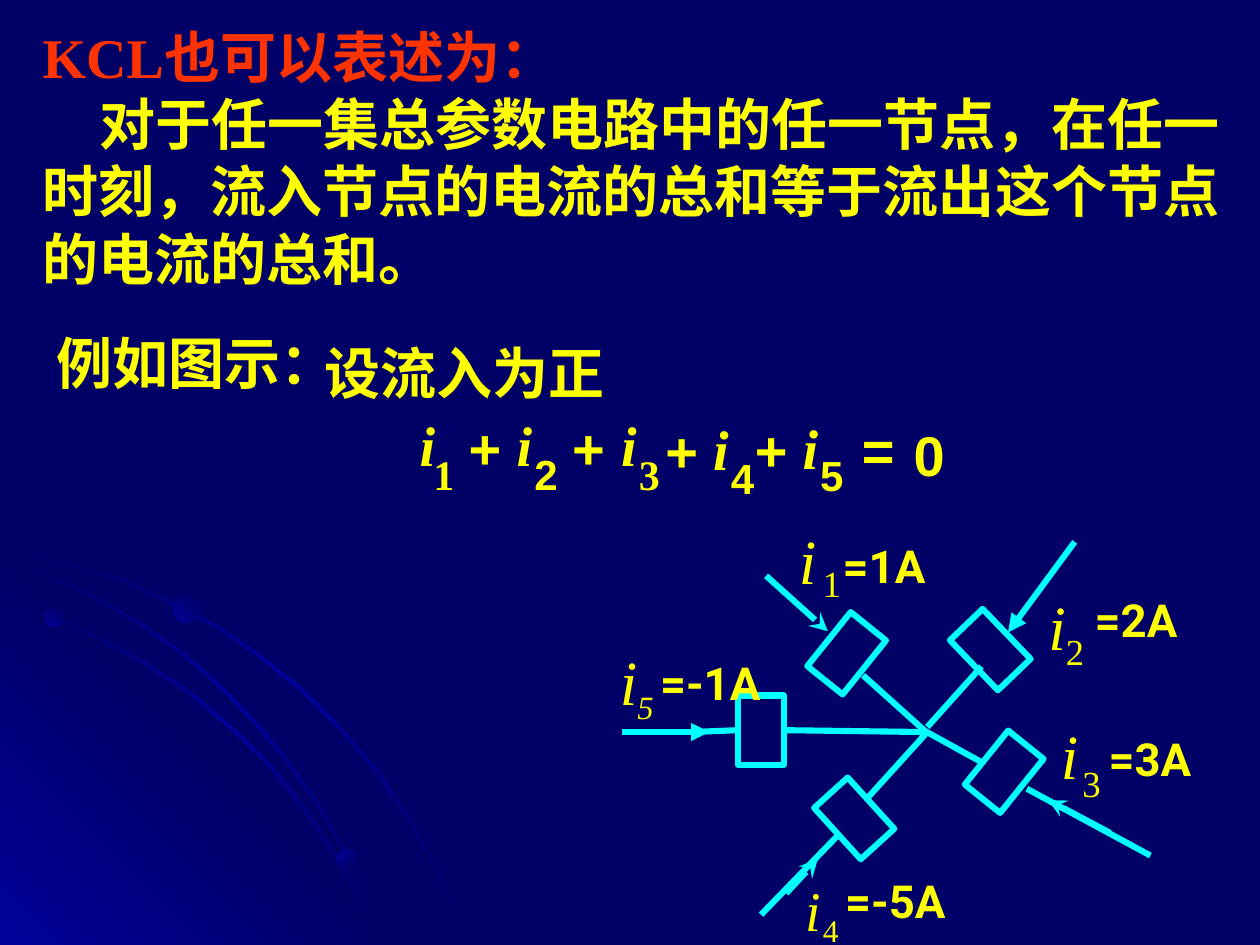
from lxml import etree
from pptx import Presentation, util as u
from pptx.dml.color import RGBColor
from pptx.enum import shapes, text
from pptx.oxml import ns

COLS, ROWS = 100, 75
NAVY, BLUE, CYAN = "000066", "010199", "00FFFF"
YELLOW, RED = "FFFF00", "FF3300"
ROMAN, SANS, LABEL, CJK = "Times New Roman", "Arial", "Roboto", "Noto Sans CJK SC"

prs = Presentation()
prs.slide_width, prs.slide_height = u.Inches(10), u.Inches(7.5)
CELL = prs.slide_width / COLS


def cells(*values):
    return [u.Emu(round(v * CELL)) for v in values]


def rgb(value):
    return RGBColor.from_string(value)


def sub(parent, tag, **attrs):
    return etree.SubElement(parent, ns.qn(tag), attrs)


def add_run(p, words, size, font, color=YELLOW, bold=True, italic=False, base=None):
    r = p.add_run()
    r.text = words
    f = r.font
    f.size, f.name, f.bold, f.italic = u.Pt(size), font, bold, italic
    f.color.rgb = rgb(color)
    rpr = r.font._element
    sub(rpr, "a:ea", typeface=CJK)
    if base:
        rpr.set("baseline", str(base * 1000))


def add_box(s, x, y, w, h, runs, inset=0):
    """Place a one-paragraph text box; each run is the arguments of add_run."""
    sp = s.shapes.add_textbox(*cells(x, y, w, h))
    tf = sp.text_frame
    tf.word_wrap = True
    tf.auto_size = text.MSO_AUTO_SIZE.NONE
    tf.margin_left = tf.margin_right = cells(inset)[0]
    tf.margin_top = tf.margin_bottom = cells(inset / 2)[0]
    for run in runs:
        add_run(tf.paragraphs[0], *run)
    return tf


def gradient(sp, colors, angle):
    sp.shadow.inherit = False
    sp.line.fill.background()
    sp.fill.gradient()
    sp.fill.gradient_angle = 360 - angle
    stops = sp._element.spPr.find(ns.qn("a:gradFill")).find(ns.qn("a:gsLst"))
    for stop in list(stops):
        stops.remove(stop)
    for i, color in enumerate(colors):
        gs = sub(stops, "a:gs", pos=str(round(100000 * i / (len(colors) - 1))))
        sub(gs, "a:srgbClr", val=color)


def add_outline(s, points, colors, angle):
    fb = s.shapes.build_freeform(*cells(*points[0]), scale=1.0)
    fb.add_line_segments([cells(*pt) for pt in points[1:]], close=True)
    gradient(fb.convert_to_shape(), colors, angle)


def orbits(s, x, y):
    """Corner glow, three thin arcs and their planets, in the lower left."""
    arcs = [
        [(0, .8), (2.8, 1.4), (5.7, 2), (9.8, 3.2), (13.6, 5), (17.4, 7), (20.9, 9.4),
         (24.2, 12.1), (27.2, 15.1), (30, 18.4), (32.5, 22.1), (33.9, 24.6),
         (35.2, 27.1), (36.2, 29.6), (37.2, 32.2)],
        [(0, 4.8), (4.1, 6.1), (7.9, 7.8), (11.7, 9.9), (15.2, 12.2), (18.4, 14.9),
         (21.5, 17.9), (24.2, 21.3), (26.6, 24.9), (28.6, 28.5), (29.6, 30.3), (30.3, 32.2)],
        [(0, 1.5), (3.9, 2.8), (7.6, 4.6), (11.1, 6.6), (14.4, 8.9), (17.5, 11.6),
         (20.4, 14.6), (22.9, 17.6), (25.4, 21.2), (26.9, 23.8), (28.2, 26.6),
         (29.4, 29.3), (30.3, 32.2)],
    ]

    def arc(points):
        outer = [(x + a, y + b) for a, b in points]
        inner = [(max(a - .2, 0), min(b + .2, ROWS)) for a, b in reversed(outer)]
        add_outline(s, outer + inner, (NAVY, BLUE, NAVY), 45)

    arc(arcs[0])
    add_outline(s, [(x + 32.2, ROWS), (x, ROWS), (x, ROWS - 32.2)], (BLUE, NAVY, BLUE), 315)
    for points in arcs[1:]:
        arc(points)
    for dx, dy, d, angle in ((3.6, 5.6, 1.5, 315), (26.7, 24.7, 1.6, 45), (13.7, 4.6, 2.1, 315)):
        sp = s.shapes.add_shape(shapes.MSO_SHAPE.OVAL, *cells(x + dx, y + dy, d, d))
        gradient(sp, (BLUE, NAVY), angle)


def statement(s, x, y, w, h):
    tf = add_box(s, x, y, w, h, [("KCL", 32, ROMAN, RED), ("也可以表述为：", 32, CJK, RED)], 1)
    p = tf.add_paragraph()
    p._p.get_or_add_pPr().set("indent", str(cells(4.5)[0]))
    add_run(p, "对于任一集总参数电路中的任一节点，在任一时刻，"
               "流入节点的电流的总和等于流出这个节点的电流的总和。", 32, CJK)


def example(s, x, y):
    add_box(s, x, y, 27.6, 6.4, [("例如图示：", 32, LABEL)], 1)
    add_box(s, x + 21.3, y + .8, 29.1, 6.4, [("设流入为正", 32, LABEL)], 1)


def equation(s, x, y):
    for dx, dy in ((0, 0), (7.7, 0), (16, 0), (23.3, .3), (30.4, .2)):
        add_box(s, x + dx, y + dy, 1.8, 5.3, [("i", 32, ROMAN, YELLOW, True, True)])
    for dx, dy, digit, font in ((1.1, 3, "1", ROMAN), (9.1, 3, "2", SANS), (17.4, 3, "3", ROMAN),
                                (24.7, 3.3, "4", SANS), (31.8, 3.1, "5", SANS)):
        add_box(s, x + dx, y + dy, 1.9, 4, [(digit, 24, font)])
    for dx, dy, sign in ((3.9, .2, "+"), (12.1, .2, "+"), (19.5, .5, "+"), (26.6, .4, "+"),
                         (35.1, .4, "="), (39.2, .8, "0")):
        add_box(s, x + dx, y + dy, 3.5, 5.3, [(sign, 32, SANS)])


def resistor(s, x, y, turn):
    sp = s.shapes.add_shape(shapes.MSO_SHAPE.RECTANGLE, *cells(x, y, 3.6, 5.5))
    sp.rotation = turn
    sp.shadow.inherit = False
    sp.fill.background()
    sp.line.color.rgb, sp.line.width = rgb(CYAN), u.Pt(3.5)
    return sp


def wire(s, x1, y1, x2, y2, head=None, tail=None):
    c = s.shapes.add_connector(shapes.MSO_CONNECTOR.STRAIGHT, *cells(x1, y1, x2, y2))
    c.line.color.rgb, c.line.width = rgb(CYAN), u.Pt(3.5)
    ln = c.line._get_or_add_ln()
    for tag, kind in (("a:headEnd", head), ("a:tailEnd", tail)):
        if kind:
            sub(ln, tag, type=kind)
    sub(c._element.spPr, "a:effectLst")
    return c


def circuit(s, x, y):
    """Five branches, each with a resistor, meeting at one node."""
    for dx, dy, turn in ((16, 7.7, 38.8), (16.6, 20.8, 317.8), (28.5, 17.1, 38.8),
                         (27.4, 7.4, 316.2)):
        resistor(s, x + dx, y + dy, turn)
    level = resistor(s, x + 9.2, y + 13.8, 0)
    for x1, y1, x2, y2, head, tail in (
            (11.4, 4.3, 16.3, 8.7, None, "stealth"), (9, 16.7, 0, 16.7, "triangle", None),
            (13, 29.5, 15.5, 26.8, None, "stealth"), (11, 31.2, 17.1, 24.9, None, None),
            (19.3, 22.1, 24.2, 16.7, None, None), (28.7, 19.2, 23.8, 16.5, None, None),
            (30.6, 8.8, 35.9, 1.6, "triangle", None), (19.1, 12.2, 24.1, 16.7, None, None),
            (28.5, 11.5, 24.2, 16.3, None, None), (32.1, 21.2, 41.9, 26.5, None, None),
            (38.7, 24.7, 33.8, 22.1, None, "stealth")):
        if head == "triangle" and x2 == 0:
            x1 = 6.9
        wire(s, x + x1, y + y1, x + x2, y + y2, head, tail)
    wire(s, x + 9.2, y + 16.7, x + 5.5, y + 16.7).begin_connect(level, 1)
    wire(s, x + 12.8, y + 16.7, x + 24, y + 16.7).begin_connect(level, 3)


def current_labels(s, x, y):
    def symbol(size):
        return ("i", size, ROMAN, YELLOW, False, True)

    def digit(words, size, *style):
        return (words, size, ROMAN, YELLOW, False, *style)

    for dx, dy, w, h, run in ((14, 0, 2.1, 6, symbol(36)), (15.9, 3.1, 2.3, 3.5, digit("1", 21)),
                              (34.8, 15.5, 2.2, 6, symbol(36)), (36.5, 19, 2.3, 3.5, digit("3", 21)),
                              (14.5, 28.1, 1.9, 5.3, symbol(32)), (15.9, 30.9, 2.1, 3, digit("4", 18))):
        add_box(s, x + dx, y + dy, w, h, [run])
    add_box(s, x + 33.8, y + 5.2, 11.7, 6.8, [symbol(36), digit("2", 36, False, -25)])
    add_box(s, x - .2, y + 9.6, 7.3, 6.6, [symbol(36), digit("5", 32, True, -25)])
    for dx, dy, value in ((16.5, .8, "=1A"), (36.5, 5.1, "=2A"), (37.6, 16.1, "=3A"),
                          (16.7, 27.4, "=-5A"), (2, 10.1, "=-1A")):
        add_box(s, x + dx, y + dy, 13.4, 5.4, [(value, 26, LABEL)], 1)


s = prs.slides.add_slide(prs.slide_layouts[6])
s.background.fill.solid()
s.background.fill.fore_color.rgb = rgb(NAVY)
orbits(s, 0, 42.7)
example(s, 3.5, 25.6)
equation(s, 33.3, 32.6)
circuit(s, 49.4, 41.4)
current_labels(s, 49.4, 41.4)
statement(s, 2.4, 1.3, 96.5, 22.4)
prs.save("out.pptx")
